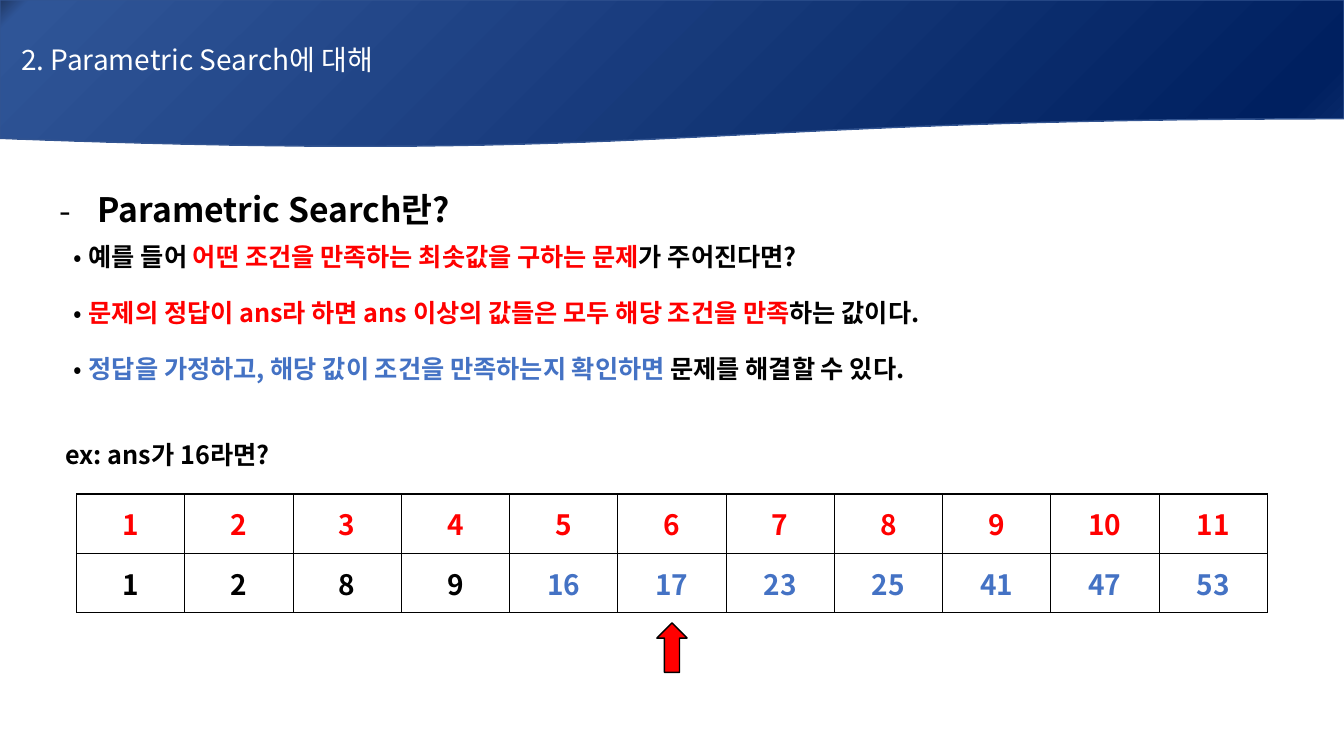
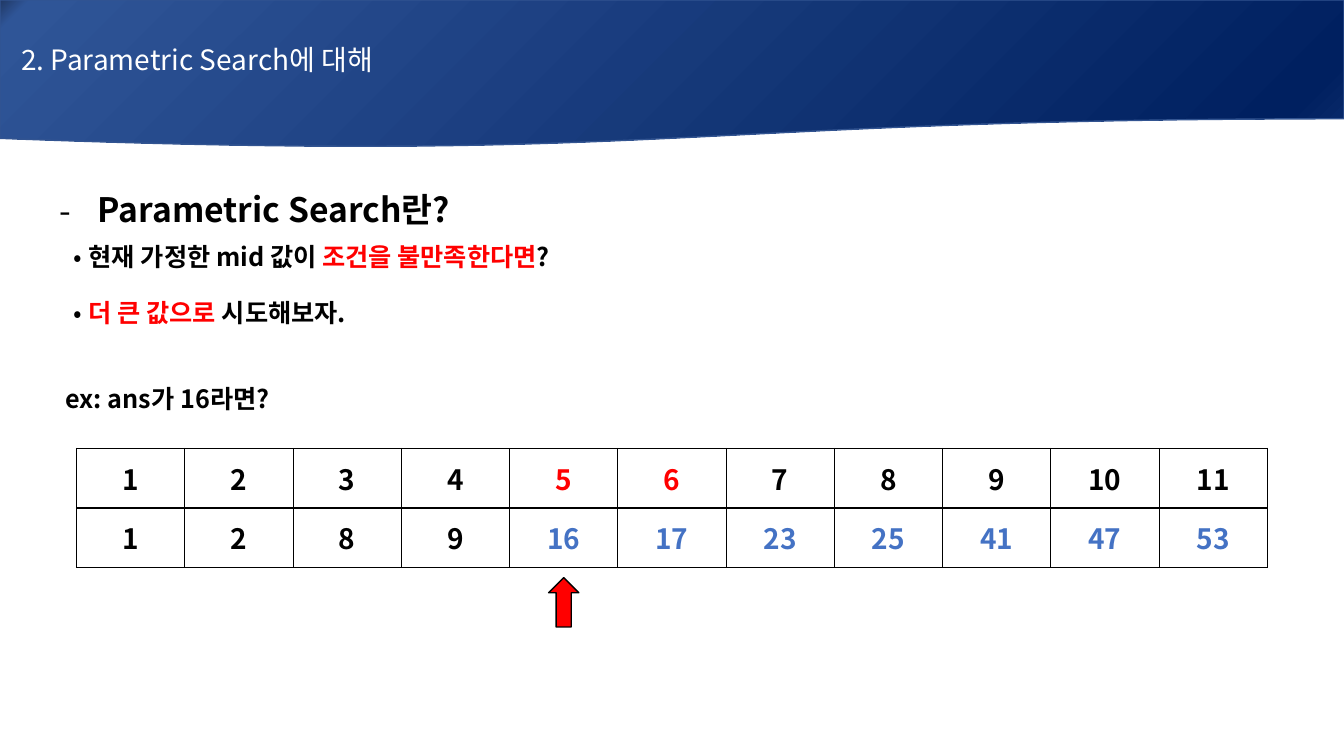
from dataclasses import dataclass

import pptx
import pptx.util
import pptx.dml.color
import pptx.enum.shapes
import pptx.enum.text
import pptx.oxml
import pptx.oxml.ns
from lxml import etree
from pptx.util import Inches

qn = pptx.oxml.ns.qn
MIDDLE = pptx.enum.text.MSO_ANCHOR.MIDDLE
CENTER = pptx.enum.text.PP_ALIGN.CENTER
SHAPES = pptx.enum.shapes.MSO_SHAPE


@dataclass(frozen=True)
class Theme:
    font: str = "Noto Sans CJK KR"
    black: str = "000000"
    white: str = "FFFFFF"
    red: str = "FF0000"
    blue: str = "4472C4"
    band_line: str = "325491"
    band_stops: tuple = ((0, "203864"), (2, "2F5597"), (94, "002060"), (100, "0D2E6F"))
    title: int = 20
    heading: int = 24
    body: int = 18
    cell: int = 20


T = Theme()

# Shared layout
SLIDE_W, SLIDE_H = 13.33, 7.5
BAND_H = 1.47
BODY_LEFT, BODY_TOP = 0.49, 1.75
TABLE_LEFT, TABLE_W, ROW_H = 0.76, 11.81, 0.59
ARROW_W, ARROW_H, ARROW_GAP = 0.3, 0.49, 0.1

# Content
TITLE = "2. Parametric Search에 대해"
HEADING = "Parametric Search란?"
EXAMPLE = "ex: ans가 16라면?"
ANSWER = 16
VALUES = [1, 2, 8, 9, 16, 17, 23, 25, 41, 47, 53]
INDEXES = range(1, len(VALUES) + 1)

SLIDES = [
    dict(
        bullets=[
            [("예를 들어 ", T.black), ("어떤 조건을 만족하는 최솟값을 구하는 문제", T.red),
             ("가 주어진다면?", T.black)],
            [("문제의 정답이 ans라 하면 ans 이상의 값들은 모두 해당 조건을 만족", T.red),
             ("하는 값이다.", T.black)],
            [("정답을 가정하고, 해당 값이 조건을 만족하는지 확인하면 ", T.blue),
             ("문제를 해결할 수 있다.", T.black)],
        ],
        table_top=4.9, red_indexes=INDEXES, mid=6,
    ),
    dict(
        bullets=[
            [("현재 가정한 mid 값이 ", T.black), ("조건을 불만족한다면", T.red), ("?", T.black)],
            [("더 큰 값으로 ", T.red), ("시도해보자.", T.black)],
        ],
        table_top=4.45, red_indexes=(5, 6), mid=5,
    ),
]


def rgb(color):
    return pptx.dml.color.RGBColor.from_string(color)


def sub(parent, tag, **attrs):
    return etree.SubElement(parent, qn(tag), attrs)


def add_run(p, text, size=T.body, color=T.black, bold=True):
    """Add one formatted run to a paragraph."""
    r = p.add_run()
    r.text = text
    r.font.size = pptx.util.Pt(size)
    r.font.bold = bold
    r.font.name = T.font
    r.font.color.rgb = rgb(color)
    sub(r.font._element, "a:ea", typeface=T.font)


def set_bullet(p, char=None, margin=0.0, hang=0.0):
    """Set the indent and the bullet; no char means no bullet."""
    pPr = p._p.get_or_add_pPr()
    pPr.set("marL", str(Inches(margin)))
    pPr.set("indent", str(-Inches(hang)))
    if char is None:
        sub(pPr, "a:buNone")
        return
    sub(sub(pPr, "a:buClr"), "a:srgbClr", val=T.black)
    sub(pPr, "a:buFont", typeface=T.font)
    sub(pPr, "a:buChar", char=char)


def set_spacing(p, line, before=0, after=0):
    p.line_spacing = pptx.util.Pt(line)
    p.space_before = pptx.util.Pt(before)
    p.space_after = pptx.util.Pt(after)


def place(sp, left, top, width, height):
    sp.left, sp.top = Inches(left), Inches(top)
    sp.width, sp.height = Inches(width), Inches(height)


def add_shape(s, kind, left, top, width, height, line):
    sp = s.shapes.add_shape(kind, Inches(left), Inches(top), Inches(width), Inches(height))
    sp.shadow.inherit = False
    sp.line.color.rgb = rgb(line)
    sp.line.width = pptx.util.Pt(1)
    return sp


def add_header(s):
    """Wavy gradient band with the title on it."""
    band = add_shape(s, SHAPES.FLOWCHART_DOCUMENT, 0, 0, SLIDE_W, BAND_H, T.band_line)
    band.fill.gradient()
    band.fill.gradient_angle = 315
    stops = band.element.spPr.find(".//" + qn("a:gsLst"))
    for stop in list(stops):
        stops.remove(stop)
    for percent, color in T.band_stops:
        sub(sub(stops, "a:gs", pos=str(percent * 1000)), "a:srgbClr", val=color)

    title = s.shapes.title
    title.element.addprevious(band.element)
    place(title, 0.11, 0, 12, 1.18)
    tf = title.text_frame
    tf.vertical_anchor = MIDDLE
    p = tf.paragraphs[0]
    p.alignment = pptx.enum.text.PP_ALIGN.LEFT
    add_run(p, TITLE, size=T.title, color=T.white, bold=False)


def add_body(s, bullets, height):
    """Heading, bullet list and example line in the body placeholder."""
    body = s.placeholders[1]
    place(body, BODY_LEFT, BODY_TOP, SLIDE_W - BODY_LEFT, height)
    tf = body.text_frame
    tf.auto_size = pptx.enum.text.MSO_AUTO_SIZE.NONE
    tf.vertical_anchor = pptx.enum.text.MSO_ANCHOR.TOP

    p = tf.paragraphs[0]
    set_spacing(p, 34, after=2)
    set_bullet(p, "-", margin=0.38, hang=0.38)
    add_run(p, HEADING, size=T.heading)

    for runs in bullets:
        p = tf.add_paragraph()
        set_spacing(p, 28, after=12)
        set_bullet(p, "•", margin=0.29, hang=0.15)
        for text, color in runs:
            add_run(p, text, color=color)

    p = tf.add_paragraph()
    set_spacing(p, 28, before=22)
    set_bullet(p, margin=0.06)
    add_run(p, EXAMPLE)


def fill_cell(cell, text, color):
    """White bordered cell with centred text."""
    cell.fill.solid()
    cell.fill.fore_color.rgb = rgb(T.white)
    cell.vertical_anchor = MIDDLE
    p = cell.text_frame.paragraphs[0]
    p.alignment = CENTER
    add_run(p, text, size=T.cell, color=color)
    tcPr = cell._tc.get_or_add_tcPr()
    for i, side in enumerate(("a:lnL", "a:lnR", "a:lnT", "a:lnB")):
        ln = pptx.oxml.parse_xml(f"<{side} {pptx.oxml.ns.nsdecls('a')} w=\"12700\"/>")
        sub(sub(ln, "a:solidFill"), "a:srgbClr", val=T.black)
        tcPr.insert(i, ln)


def add_search_table(s, top, red_indexes):
    """Indexes above their values; values that meet the condition are blue."""
    tbl = s.shapes.add_table(2, len(VALUES), Inches(TABLE_LEFT), Inches(top),
                             Inches(TABLE_W), Inches(2 * ROW_H)).table
    tbl.first_row = tbl.horz_banding = False
    for col, (index, value) in enumerate(zip(INDEXES, VALUES)):
        fill_cell(tbl.cell(0, col), str(index), T.red if index in red_indexes else T.black)
        fill_cell(tbl.cell(1, col), str(value), T.blue if value >= ANSWER else T.black)


def add_mid_arrow(s, table_top, mid):
    """Red arrow under the column being tried."""
    center = TABLE_LEFT + (mid - 0.5) * TABLE_W / len(VALUES)
    arrow = add_shape(s, SHAPES.UP_ARROW, center - ARROW_W / 2,
                      table_top + 2 * ROW_H + ARROW_GAP, ARROW_W, ARROW_H, T.black)
    arrow.fill.solid()
    arrow.fill.fore_color.rgb = rgb(T.red)


def add_slide(prs, bullets, table_top, red_indexes, mid):
    s = prs.slides.add_slide(prs.slide_layouts[1])
    add_header(s)
    add_body(s, bullets, table_top - BODY_TOP)
    add_search_table(s, table_top, red_indexes)
    add_mid_arrow(s, table_top, mid)


def main():
    prs = pptx.Presentation()
    prs.slide_width, prs.slide_height = Inches(SLIDE_W), Inches(SLIDE_H)
    for content in SLIDES:
        add_slide(prs, **content)
    prs.save("out.pptx")


if __name__ == "__main__":
    main()
